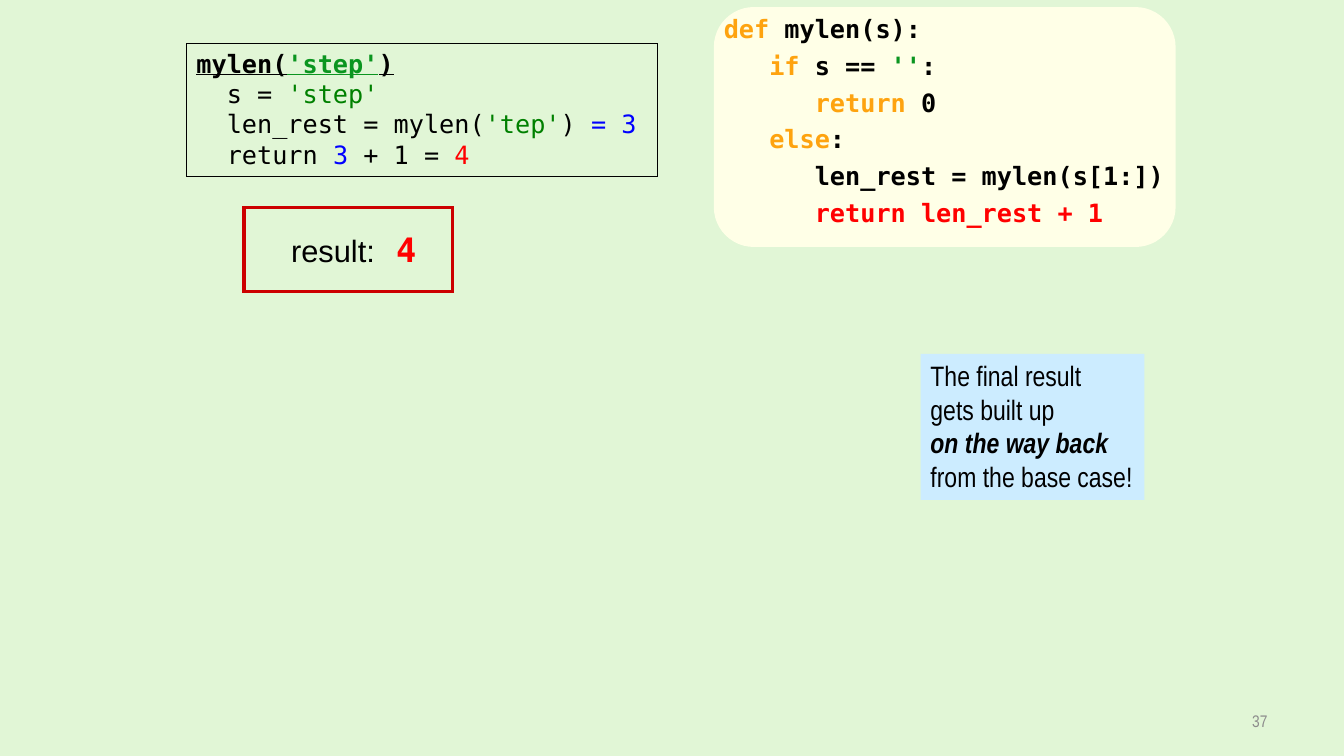
"""Build the slide tracing a recursive call of mylen."""
from lxml import etree
from pptx import Presentation
from pptx.dml.color import RGBColor
from pptx.enum.shapes import MSO_SHAPE
from pptx.enum.text import MSO_ANCHOR, PP_ALIGN
from pptx.oxml.ns import qn
from pptx.util import Inches, Pt

ROUND, RECT = MSO_SHAPE.ROUNDED_RECTANGLE, MSO_SHAPE.RECTANGLE
TOP, MIDDLE = MSO_ANCHOR.TOP, MSO_ANCHOR.MIDDLE
LEFT, RIGHT = PP_ALIGN.LEFT, PP_ALIGN.RIGHT
MONO, NARROW = "DejaVu Sans Mono", "Arial Narrow"
BLACK, ORANGE, GREEN, LEAF = "000000", "FEA30F", "0B9520", "008000"
RED, BLUE, GREY = "FF0000", "0000FF", "8C8C8C"


def color(text):
    return RGBColor.from_string(text)


def write(shape, lines, face, size, bold=False, align=LEFT):
    frame = shape.text_frame
    frame.word_wrap = True
    frame.vertical_anchor = TOP
    for i, line in enumerate(lines):
        para = frame.paragraphs[0] if i == 0 else frame.add_paragraph()
        para.alignment = align
        para.font.name, para.font.size = face, Pt(size)
        para.font.bold = bold
        for text, tint in line:
            run = para.add_run()
            run.text = text
            run.font.color.rgb = color(tint)
    return frame


deck = Presentation()
deck.slide_width, deck.slide_height = Inches(13.33), Inches(7.5)
slide = deck.slides.add_slide(deck.slide_layouts[6])
slide.background.fill.solid()
slide.background.fill.fore_color.rgb = color("E1F6D6")

panels = []
for kind, box, fill, edge, width in [
    (ROUND, (7.08, 0.07, 4.58, 2.38), "FFFFE7", None, 0),
    (RECT, (1.85, 0.43, 4.67, 1.32), None, BLACK, 0.75),
    (RECT, (9.13, 3.51, 2.22, 1.45), "CCECFF", None, 0),
    (RECT, (2.42, 2.06, 2.07, 0.83), None, "CC0000", 2.25),
]:
    panel = slide.shapes.add_shape(kind, *map(Inches, box))
    panel.shadow.inherit = False
    if fill:
        panel.fill.solid()
        panel.fill.fore_color.rgb = color(fill)
    else:
        panel.fill.background()
    if edge:
        panel.line.color.rgb = color(edge)
        panel.line.width = Pt(width)
        etree.SubElement(panel.line._get_or_add_ln(), qn("a:miter"), lim="800000")
    else:
        panel.line.fill.background()
    panels.append(panel)
trace, note = panels[1:3]

code = slide.shapes.add_textbox(Inches(7.08), Inches(0.14), Inches(4.58), Inches(2.31))
frame = write(code, [
    [("def ", ORANGE), ("mylen(s):", BLACK)],
    [("   if ", ORANGE), ("s == ", BLACK), ("''", GREEN), (":", BLACK)],
    [("      return ", ORANGE), ("0", BLACK)],
    [("   else", ORANGE), (":", BLACK)],
    [("      len_rest = mylen(s[1:])", BLACK)],
    [("      return len_rest + 1", RED)],
], MONO, 18, bold=True)
for i, para in enumerate(frame.paragraphs):
    para.line_spacing = 0.8
    if i:
        para.space_before = Pt(9)

frame = write(trace, [
    [("mylen(", BLACK), ("'step'", GREEN), (")", BLACK)],
    [("  s = ", BLACK), ("'step'", LEAF)],
    [("  len_rest = mylen(", BLACK), ("'tep'", LEAF), (") ", BLACK), ("= 3", BLUE)],
    [("  return ", BLACK), ("3", BLUE), (" + 1 = ", BLACK), ("4", RED)],
], MONO, 18)
call = frame.paragraphs[0].font
call.bold = call.underline = True

frame = write(note, [
    [("The final result", BLACK)],
    [("gets built up", BLACK)],
    [("on the way back", BLACK)],
    [("from the base case!", BLACK)],
], NARROW, 20)
frame.word_wrap = False
stress = frame.paragraphs[2].font
stress.bold = stress.italic = True

label = slide.shapes.add_textbox(Inches(2.79), Inches(2.22), Inches(2.06), Inches(0.51))
frame = label.text_frame
frame.word_wrap = True
para = frame.paragraphs[0]
tabs = etree.SubElement(para._p.get_or_add_pPr(), qn("a:tabLst"))
etree.SubElement(tabs, qn("a:tab"), pos=str(Inches(1.04)), algn="l")
for text, face, size, tint, bold in [
    ("result:\t", "Arial", 22, BLACK, False),
    ("4", MONO, 24, RED, True),
]:
    run = para.add_run()
    run.text = text
    run.font.name, run.font.size, run.font.bold = face, Pt(size), bold
    run.font.color.rgb = color(tint)

page = slide.shapes.add_textbox(Inches(9.56), Inches(6.95), Inches(3.11), Inches(0.4))
write(page, [[("37", GREY)]], NARROW, 12, align=RIGHT).vertical_anchor = MIDDLE

deck.save("out.pptx")
